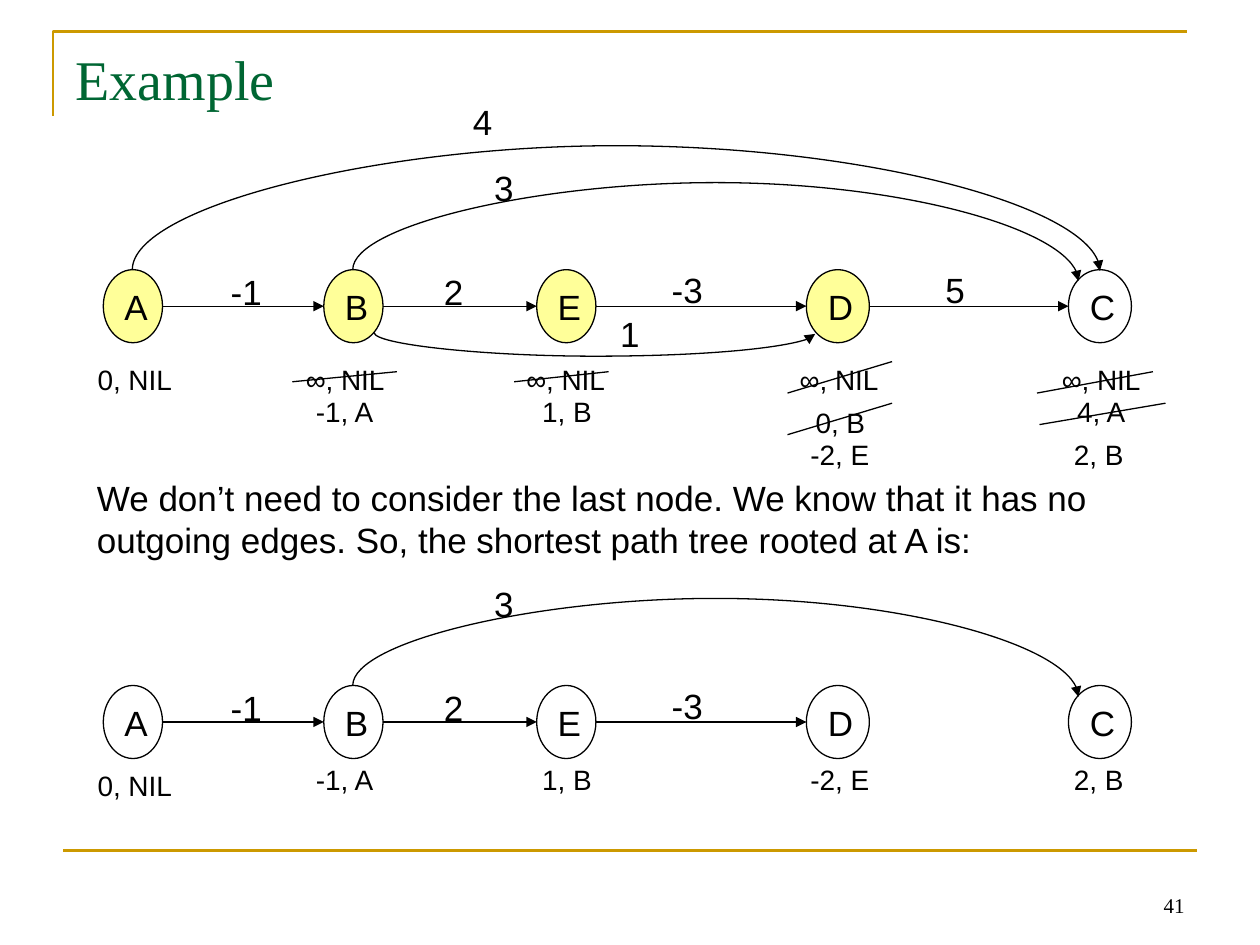
from dataclasses import dataclass

from lxml.etree import SubElement
from pptx import Presentation
from pptx.dml.color import RGBColor
from pptx.enum.shapes import MSO_CONNECTOR, MSO_SHAPE
from pptx.enum.text import MSO_ANCHOR, MSO_AUTO_SIZE, PP_ALIGN
from pptx.oxml.ns import qn
from pptx.util import Inches, Pt


@dataclass(frozen=True)
class Theme:
    ink: RGBColor = RGBColor(0, 0, 0)
    heading: RGBColor = RGBColor(0x00, 0x66, 0x33)
    rule: RGBColor = RGBColor(0xCC, 0x99, 0x00)
    visited: RGBColor = RGBColor(0xFF, 0xFF, 0x99)
    serif: str = "Times New Roman"
    sans: str = "Arial"
    heading_size: int = 32
    body_size: int = 20
    state_size: int = 16
    page_size: int = 12
    edge_width: float = 0.75
    rule_width: float = 1.5


@dataclass(frozen=True)
class Node:
    name: str
    left: float
    width: float


@dataclass(frozen=True)
class Arc:
    start: tuple[float, float]
    end: tuple[float, float]
    bulge: float  # distance from the start, negative is upwards


@dataclass(frozen=True)
class Label:
    text: str
    left: float
    top: float


THEME = Theme()
NODE_TOP, NODE_HEIGHT = 2.14, 0.58
TREE_SHIFT = 3.3  # the result tree sits this far below the graph
LABEL_WIDTHS = {1: 0.36, 2: 0.45, 4: 0.6, 5: 0.67, 6: 0.84}  # by text length

NODES = [Node("A", 0.82, 0.47), Node("B", 2.57, 0.47), Node("E", 4.26, 0.47),
         Node("D", 6.4, 0.5), Node("C", 8.48, 0.5)]
ARC_A_C = Arc((1.05, 2.14), (8.73, 2.14), -1)
ARC_B_D = Arc((2.97, 2.64), (6.47, 2.64), 0.19)
ARC_B_C = Arc((2.8, 2.14), (8.56, 2.23), -0.69)

TREE_WEIGHTS = [Label("-1", 1.73, 2.1), Label("3", 3.82, 1.27),
                Label("2", 3.42, 2.1), Label("-3", 5.23, 2.08)]
OTHER_WEIGHTS = [Label("4", 3.65, 0.75), Label("1", 4.82, 2.43), Label("5", 7.4, 2.08)]

GRAPH_STATES = [
    Label("0, NIL", 0.65, 2.83), Label("∞, NIL", 2.32, 2.83), Label("∞, NIL", 4.07, 2.83),
    Label("∞, NIL", 6.24, 2.83), Label("∞, NIL", 8.32, 2.83), Label("-1, A", 2.4, 3.08),
    Label("4, A", 8.44, 3.08), Label("1, B", 4.2, 3.08), Label("0, B", 6.37, 3.17),
    Label("2, B", 8.42, 3.42), Label("-2, E", 6.33, 3.42),
]
TREE_STATES = [Label("0, NIL", 0.65, 6.05), Label("-1, A", 2.4, 6), Label("1, B", 4.2, 6),
               Label("2, B", 8.42, 6), Label("-2, E", 6.33, 6)]
STRIKES = [
    ((3.15, 2.95), (2.32, 3.03)), ((9.15, 2.95), (8.23, 3.12)), ((4.83, 2.95), (4.08, 3.03)),
    ((7.08, 2.87), (6.25, 3.12)), ((9.25, 3.2), (8.25, 3.37)), ((7.08, 3.2), (6.25, 3.45)),
]


def write(frame, lines: list[str], size: float, name: str = THEME.sans,
          color: RGBColor = THEME.ink, align=PP_ALIGN.CENTER, **frame_format) -> None:
    for key, value in frame_format.items():
        setattr(frame, key, value)
    for index, line in enumerate(lines):
        paragraph = frame.paragraphs[0] if index == 0 else frame.add_paragraph()
        paragraph.alignment = align
        run = paragraph.add_run()
        run.text = line
        for key, value in {"size": Pt(size), "name": name}.items():
            setattr(run.font, key, value)
        run.font.color.rgb = color


def draw_text(slide, box: tuple[float, ...], lines: list[str], size: float, **text_format) -> None:
    frame = slide.shapes.add_textbox(*map(Inches, box)).text_frame
    write(frame, lines, size, **text_format)


def draw_label(slide, label: Label, size: float, shift: float = 0) -> None:
    height = 0.43 if size == THEME.body_size else 0.37
    box = (label.left, label.top + shift, LABEL_WIDTHS[len(label.text)], height)
    draw_text(slide, box, [label.text], size, word_wrap=False,
              auto_size=MSO_AUTO_SIZE.SHAPE_TO_FIT_TEXT)


def draw_line(slide, start: tuple[float, float], end: tuple[float, float], arrow: bool = False,
              kind=MSO_CONNECTOR.STRAIGHT, color: RGBColor = THEME.ink,
              width: float = THEME.edge_width):
    connector = slide.shapes.add_connector(kind, *map(Inches, (*start, *end)))
    connector.line.color.rgb = color
    connector.line.width = Pt(width)
    properties = connector.element.spPr
    if arrow:
        SubElement(properties.find(qn("a:ln")), qn("a:tailEnd"), type="triangle")
    SubElement(properties, qn("a:effectLst"))
    return connector


def draw_arc(slide, arc: Arc, shift: float = 0) -> None:
    """Draw a curved connector turned by a quarter, so that it leaves vertically."""
    span = arc.end[0] - arc.start[0]
    drop = max(arc.end[1] - arc.start[1], 0.01)
    left = (arc.start[0] + arc.end[0] - drop) / 2
    top = arc.start[1] + shift + (drop - span) / 2
    curve = draw_line(slide, (left, top), (left + drop, top + span), True, MSO_CONNECTOR.CURVE)
    properties = curve.element.spPr
    quarter_turns, flip = (1, "flipV") if arc.bulge < 0 else (3, "flipH")
    transform = properties.find(qn("a:xfrm"))
    transform.set("rot", str(quarter_turns * 5400000))
    transform.set(flip, "1")
    geometry = properties.find(qn("a:prstGeom"))
    adjustments = geometry.find(qn("a:avLst"))
    if adjustments is None:
        adjustments = SubElement(geometry, qn("a:avLst"))
    SubElement(adjustments, qn("a:gd"), name="adj1",
               fmla=f"val {round(arc.bulge / drop * 100000)}")


def draw_graph(slide, shift: float, visited: str, edge_count: int,
               arcs: list[Arc], weights: list[Label]) -> None:
    top = NODE_TOP + shift
    for node in NODES:
        box = (node.left, top, node.width, NODE_HEIGHT)
        oval = slide.shapes.add_shape(MSO_SHAPE.OVAL, *map(Inches, box))
        oval.shadow.inherit = False
        if node.name in visited:
            oval.fill.solid()
            oval.fill.fore_color.rgb = THEME.visited
        else:
            oval.fill.background()
        oval.line.color.rgb = THEME.ink
        oval.line.width = Pt(THEME.edge_width)
        write(oval.text_frame, [node.name], THEME.body_size, word_wrap=False,
              vertical_anchor=MSO_ANCHOR.MIDDLE, auto_size=MSO_AUTO_SIZE.SHAPE_TO_FIT_TEXT)
    middle = round(top + NODE_HEIGHT / 2, 2)
    for source, target in list(zip(NODES, NODES[1:]))[:edge_count]:
        draw_line(slide, (source.left + source.width, middle), (target.left, middle), True)
    for arc in arcs:
        draw_arc(slide, arc, shift)
    for weight in weights:
        draw_label(slide, weight, THEME.body_size, shift)


def main() -> None:
    deck = Presentation()
    deck.slide_width, deck.slide_height = Inches(10), Inches(7.5)
    slide = deck.slides.add_slide(deck.slide_layouts[5])

    # Frame rules and page number
    outline = slide.shapes.build_freeform(Inches(0.42), Inches(0.92))
    outline.add_line_segments([(Inches(0.42), Inches(0.25)), (Inches(9.42), Inches(0.25))],
                              close=False)
    corner = outline.convert_to_shape()
    corner.shadow.inherit = False
    corner.fill.background()
    corner.line.color.rgb = THEME.rule
    corner.line.width = Pt(THEME.rule_width)
    draw_line(slide, (0.5, 6.75), (9.5, 6.75), color=THEME.rule, width=THEME.rule_width)
    draw_text(slide, (7.17, 6.83, 2.33, 0.5), ["41"], THEME.page_size, name=THEME.serif,
              align=PP_ALIGN.RIGHT, word_wrap=True, vertical_anchor=MSO_ANCHOR.BOTTOM)

    # Title
    title = slide.shapes.title
    for key, value in {"left": 0.5, "top": 0.3, "width": 9, "height": 1.25}.items():
        setattr(title, key, Inches(value))
    write(title.text_frame, ["Example"], THEME.heading_size, THEME.serif, THEME.heading,
          PP_ALIGN.LEFT, vertical_anchor=MSO_ANCHOR.TOP)

    # Graph with the distances found on the way
    draw_graph(slide, 0, "ABED", 4, [ARC_A_C, ARC_B_D, ARC_B_C], TREE_WEIGHTS + OTHER_WEIGHTS)
    for state in GRAPH_STATES + TREE_STATES:
        draw_label(slide, state, THEME.state_size)
    for start, end in STRIKES:
        draw_line(slide, start, end)

    # Conclusion and shortest path tree
    draw_text(slide, (0.67, 3.73, 8.12, 0.77),
              ["We don’t need to consider the last node. We know that it has no",
               "outgoing edges. So, the shortest path tree rooted at A is:"],
              THEME.body_size, align=PP_ALIGN.LEFT, word_wrap=False,
              auto_size=MSO_AUTO_SIZE.SHAPE_TO_FIT_TEXT)
    draw_graph(slide, TREE_SHIFT, "", 3, [ARC_B_C], TREE_WEIGHTS)

    deck.save("out.pptx")


if __name__ == "__main__":
    main()
